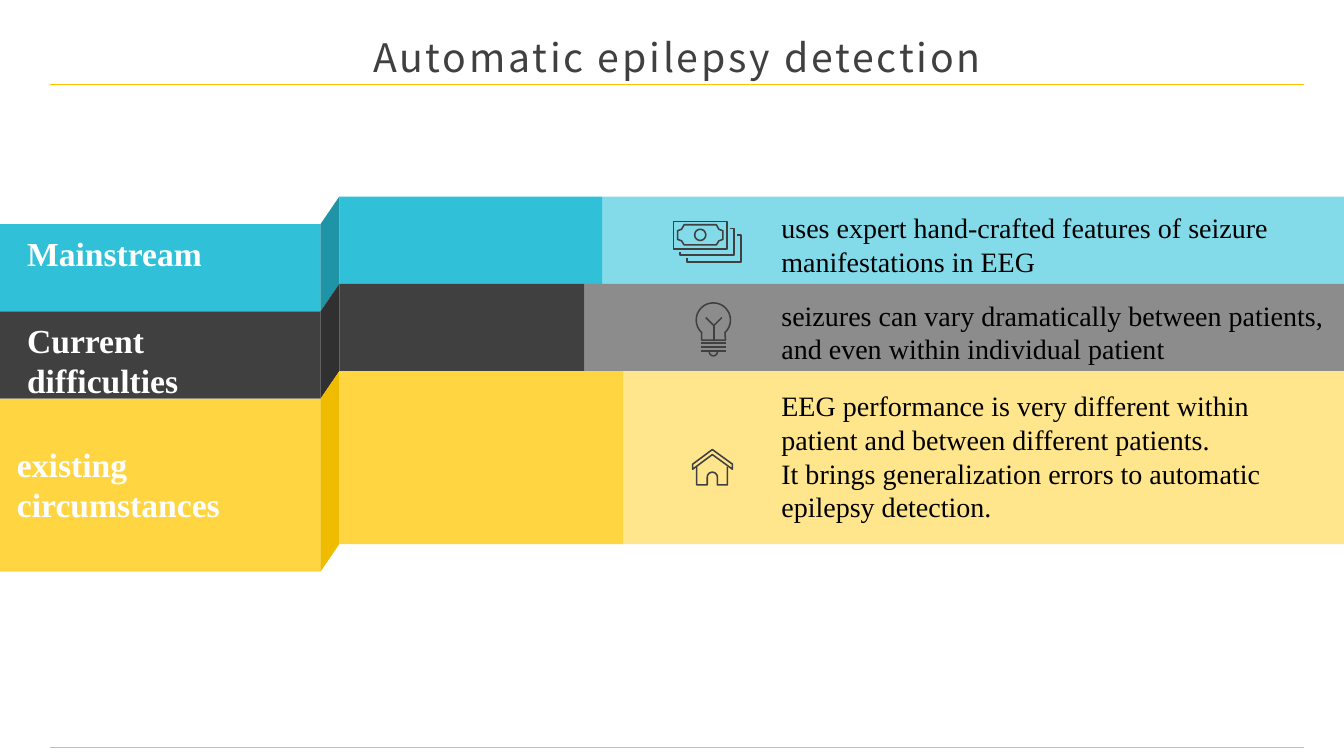
from math import cos, sin, radians

from lxml.etree import SubElement
from pptx import Presentation
from pptx.dml.color import RGBColor
from pptx.enum.shapes import MSO_CONNECTOR, MSO_SHAPE
from pptx.enum.text import MSO_ANCHOR, MSO_AUTO_SIZE, PP_ALIGN
from pptx.oxml.ns import qn
from pptx.util import Inches, Pt

WIDE, HIGH = Inches(13.33), Inches(7.5)
DOT = HIGH / 750

WHITE = RGBColor(0xFF, 0xFF, 0xFF)
BLACK = RGBColor(0x00, 0x00, 0x00)
DARK = RGBColor(0x40, 0x40, 0x40)
SHADE = RGBColor(0x30, 0x30, 0x30)
GREY = RGBColor(0x8C, 0x8C, 0x8C)
SILVER = RGBColor(0xBF, 0xBF, 0xBF)
BLUE = RGBColor(0x30, 0xC1, 0xD8)
TEAL = RGBColor(0x1F, 0x94, 0xA7)
SKY = RGBColor(0x83, 0xDA, 0xE8)
YELLOW = RGBColor(0xFF, 0xD6, 0x41)
AMBER = RGBColor(0xF0, 0xBC, 0x00)
CREAM = RGBColor(0xFF, 0xE6, 0x8D)
GOLD = RGBColor(0xFF, 0xC0, 0x00)

TITLE = {"name": "Noto Sans CJK SC", "size": Pt(28)}
LABEL = {"name": "Times New Roman", "size": Pt(24), "bold": True}
NOTE = {"name": "Times New Roman", "size": Pt(20)}

FOLD, BEND, DROP = 23.85, 25.25, 3.65
TOP, ROW = 26, 11.55

BANDS = [
    {
        "rows": 1, "split": 44.85, "fills": (BLUE, TEAL, SKY),
        "label": ("Mainstream", (1.28, 30.13, 21.75, 6.67)),
        "note": (["uses expert hand-crafted features of seizure manifestations in EEG"],
                 (57.4, 27.2, 42.3, 10.27)),
    },
    {
        "rows": 1, "split": 43.5, "fills": (DARK, SHADE, GREY),
        "label": ("Current difficulties", (1.28, 41.6, 15.53, 12.13)),
        "note": (["seizures can vary dramatically between patients, "
                  "and even within individual patient"],
                 (57.4, 38.8, 42.3, 10.27)),
    },
    {
        "rows": 1.98, "split": 46.4, "fills": (YELLOW, AMBER, CREAM),
        "label": ("existing circumstances", (0.53, 58, 21.75, 12.13)),
        "note": (["EEG performance is very different within patient "
                  "and between different patients.",
                  "It brings generalization errors to automatic epilepsy detection."],
                 (57.4, 50.8, 39.7, 19.33)),
    },
]


def place(col, row):
    return round(WIDE * col / 100), round(HIGH * row / 100)


def paint(shape, fill=None, line=None):
    shape.shadow.inherit = False
    if fill is None:
        shape.fill.background()
    else:
        shape.fill.solid()
        shape.fill.fore_color.rgb = fill
    if line is None:
        shape.line.fill.background()
    else:
        shape.line.color.rgb = line
        shape.line.width = Pt(1.1)


def block(slide, left, top, right, base, fill):
    x, y = place(left, top)
    end, foot = place(right, base)
    shape = slide.shapes.add_shape(MSO_SHAPE.RECTANGLE, x, y, end - x, foot - y)
    paint(shape, fill)


def outline(slide, points, close=True, **look):
    pen = slide.shapes.build_freeform(*points[0])
    pen.add_line_segments(points[1:], close=close)
    paint(pen.convert_to_shape(), **look)


def rule(slide, start, end, color, width):
    line = slide.shapes.add_connector(MSO_CONNECTOR.STRAIGHT, *start, *end)
    line.line.color.rgb = color
    line.line.width = Pt(width)
    SubElement(line._element.spPr, qn("a:effectLst"))


def write(slide, lines, box, style, color):
    area = slide.shapes.add_textbox(*place(*box[:2]), *place(*box[2:]))
    frame = area.text_frame
    frame.word_wrap = True
    frame.auto_size = MSO_AUTO_SIZE.SHAPE_TO_FIT_TEXT
    for i, text in enumerate(lines):
        para = frame.paragraphs[0] if i == 0 else frame.add_paragraph()
        run = para.add_run()
        run.text = text
        run.font.color.rgb = color
        for key, value in style.items():
            setattr(run.font, key, value)
    return frame


def head(slide):
    frame = write(slide, ["Automatic epilepsy detection"],
                  (24.85, 3.87, 51.1, 7.33), TITLE, DARK)
    frame.auto_size = MSO_AUTO_SIZE.NONE
    frame.vertical_anchor = MSO_ANCHOR.MIDDLE
    para = frame.paragraphs[0]
    para.alignment = PP_ALIGN.CENTER
    para.runs[0]._r.get_or_add_rPr().set("spc", "200")
    for row, color in ((11.1, GOLD), (98.9, SILVER)):
        rule(slide, place(3.75, row), place(97, row), color, 0.5)


def band(slide, top, data):
    base = top + data["rows"] * ROW
    front, side, pale = data["fills"]
    block(slide, 0, top + DROP, FOLD, base + DROP, front)
    block(slide, BEND, top, data["split"], base, front)
    block(slide, data["split"], top, 100, base, pale)
    edge = [(BEND, top), (FOLD, top + DROP), (FOLD, base + DROP), (BEND, base)]
    outline(slide, [place(*p) for p in edge], fill=side)
    text, box = data["label"]
    write(slide, [text], box, LABEL, WHITE)
    lines, box = data["note"]
    write(slide, lines, box, NOTE, BLACK)
    return base


def arc(x, y, size, start, end):
    turns = [radians(start + (end - start) * i / 24) for i in range(25)]
    return [(x + size * cos(t), y + size * sin(t)) for t in turns]


def shift(base, points):
    return [(round((base[0] + x) * DOT), round((base[1] + y) * DOT))
            for x, y in points]


def sketch(slide, base, points, close=False):
    outline(slide, shift(base, points), close, line=DARK)


def money(slide):
    base = (667, 219)
    sketch(slide, base, [(1, 1), (54, 1), (54, 28), (1, 28)], True)
    sketch(slide, base, [(5, 10), (9, 8.5), (11.5, 4), (43.5, 4), (46, 8.5), (50, 10),
                         (50, 18.5), (46, 20), (43.5, 24), (11.5, 24), (9, 20),
                         (5, 18.5)], True)
    sketch(slide, base, arc(27.5, 14, 5.5, 0, 360), True)
    sketch(slide, base, [(57.5, 7.5), (61, 7.5), (61, 34), (7.5, 34), (7.5, 31)])
    sketch(slide, base, [(64, 14), (68, 14), (68, 41), (14.5, 41), (14.5, 37)])


def bulb(slide):
    base = (690, 300)
    sketch(slide, base, arc(17.5, 17.5, 17, 133, 407) + [(29.5, 37.5), (6, 37.5)], True)
    sketch(slide, base, [(10, 15), (18, 23), (26, 15)])
    for start, end in [((18, 23), (18, 37.5))] + [
            ((5, y), (30.5, y)) for y in (40.5, 44.5, 48.5)]:
        rule(slide, *shift(base, [start, end]), DARK, 1.1)
    sketch(slide, base, arc(17.5, 49, 4, 0, 180))


def house(slide):
    base = (686, 445)
    sketch(slide, base, [(1, 15.5), (20.5, 1), (40.5, 15.5), (40.5, 20.5),
                         (20.5, 6), (1, 20.5)], True)
    sketch(slide, base, [(5, 18), (5, 36), (15.5, 36)] + arc(20.5, 28.5, 5, 180, 360)
           + [(25.5, 36), (35.5, 36), (35.5, 18)])


def main():
    deck = Presentation()
    deck.slide_width, deck.slide_height = WIDE, HIGH
    slide = deck.slides.add_slide(deck.slide_layouts[6])
    head(slide)
    top = TOP
    for data in BANDS:
        top = band(slide, top, data)
    for draw in (money, bulb, house):
        draw(slide)
    deck.save("out.pptx")


if __name__ == "__main__":
    main()
